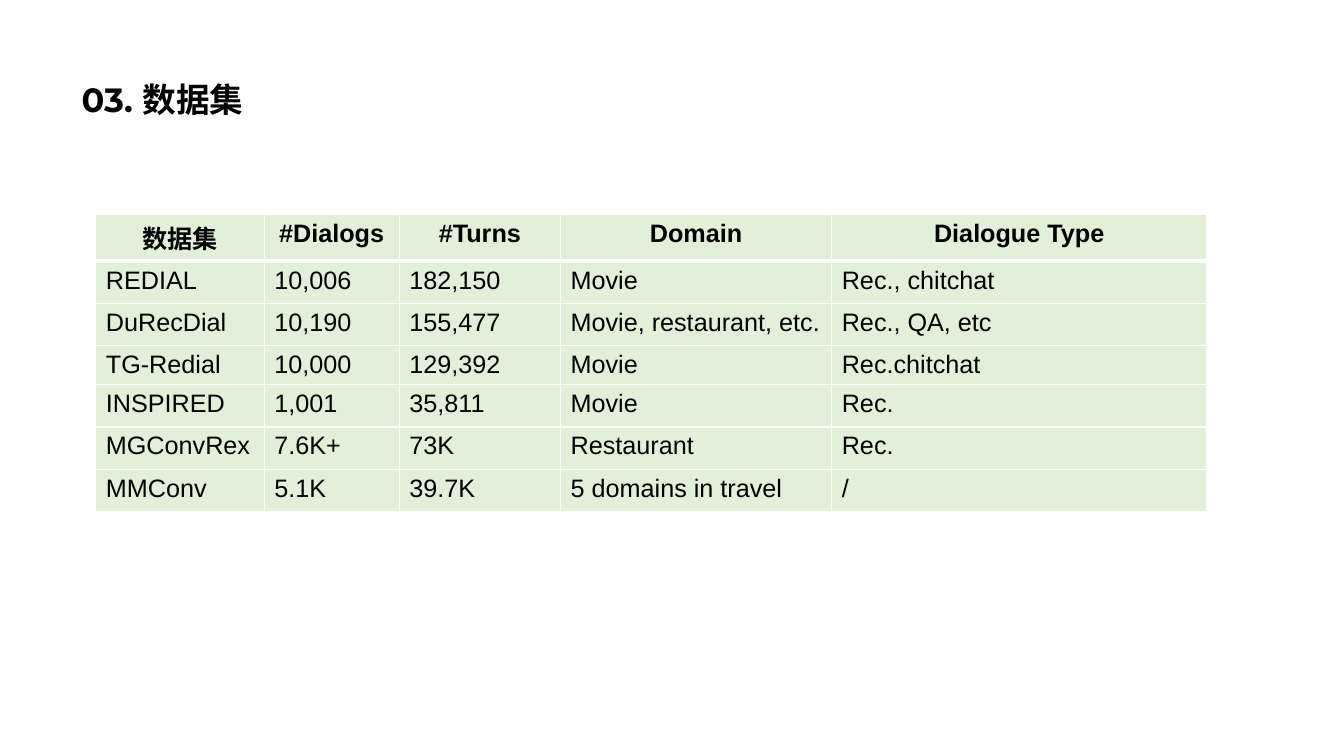
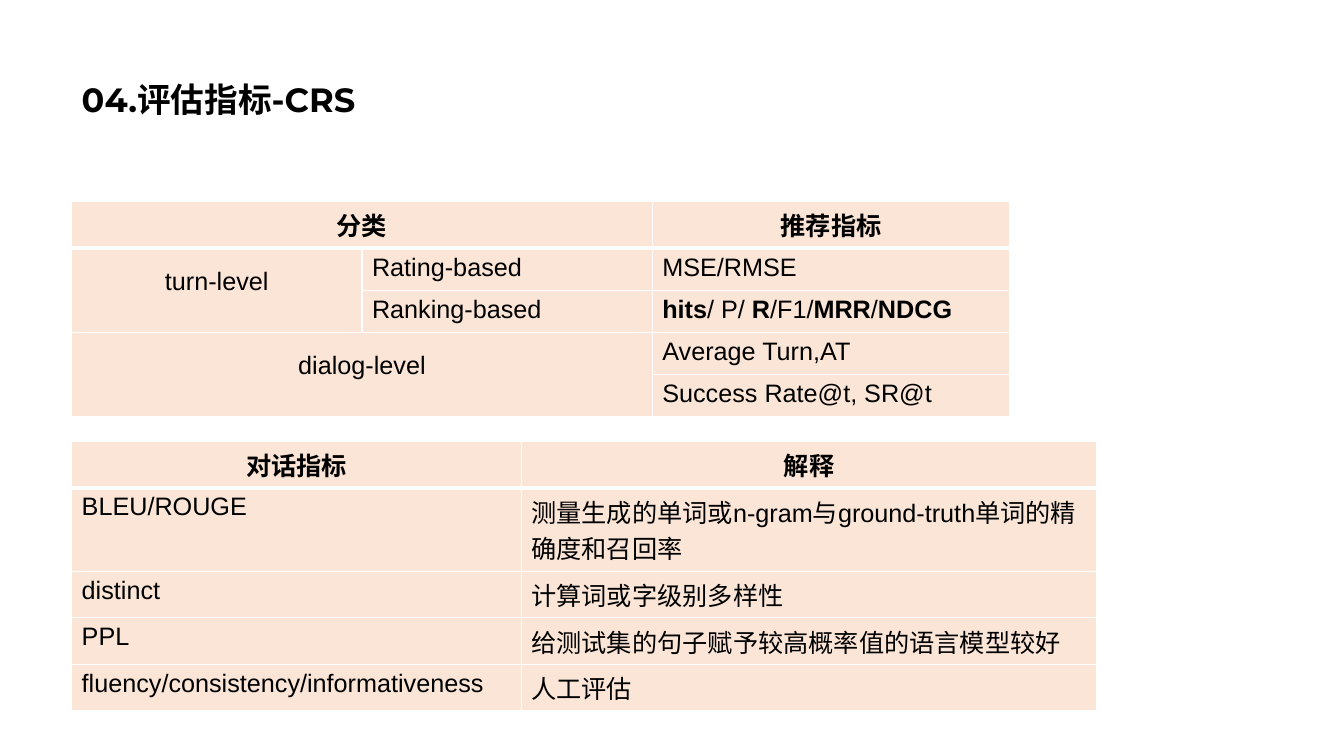
from dataclasses import dataclass
from lxml import etree
from pptx import Presentation
from pptx.dml.color import RGBColor
from pptx.enum.text import MSO_ANCHOR, PP_ALIGN
from pptx.oxml.ns import qn
from pptx.util import Inches, Pt

LEFT, CENTER = PP_ALIGN.LEFT, PP_ALIGN.CENTER
MIDDLE = MSO_ANCHOR.MIDDLE
WIDE, HIGH = Inches(13.33), Inches(7.5)
TITLE_ONLY = 5


@dataclass(frozen=True)
class Theme:
    ink: str = "000000"
    line: str = "FFFFFF"
    green: str = "E2F0D9"
    peach: str = "FBE5D6"
    head: str = "Montserrat"
    body: str = "Arial"
    big: int = 24
    small: int = 18
    thin: int = 1
    thick: int = 3


THEME = Theme()
TITLE_BOX = (5.33, 3.73, 86.27, 19.33)

DATA_BOX = (7.13, 28.4, 82.67, 38.67)
DATA_COLS = (1.67, 1.34, 1.6, 2.69, 3.72)
DATA_ROWS = (0.42, 0.42, 0.42, 0.39, 0.42, 0.42, 0.42)
DATA = (
    ("数据集", "#Dialogs", "#Turns", "Domain", "Dialogue Type"),
    ("REDIAL", "10,006", "182,150", "Movie", "Rec., chitchat"),
    ("DuRecDial", "10,190", "155,477", "Movie, restaurant, etc.", "Rec., QA, etc"),
    ("TG-Redial", "10,000", "129,392", "Movie", "Rec.chitchat"),
    ("INSPIRED", "1,001", "35,811", "Movie", "Rec."),
    ("MGConvRex", "7.6K+", "73K", "Restaurant", "Rec."),
    ("MMConv", "5.1K", "39.7K", "5 domains in travel", "/"),
)

RANK_BOX = (5.33, 26.67, 69.83, 27.8)
RANK_COLS = (2.88, 2.88, 3.55)
RANK_ROWS = (1,) * 5
RANK_SPANS = ((0, 0, 0, 1), (1, 0, 2, 0), (3, 0, 4, 1))
RANK = (
    ("分类", "", "推荐指标"),
    ("turn-level", "Rating-based", "MSE/RMSE"),
    ("", "Ranking-based", "*hits*/ P/ *R*/F1/*MRR*/*NDCG*"),
    ("dialog-level", "", "Average Turn,AT"),
    ("", "", "Success Rate@t, SR@t"),
)

TALK_BOX = (5.33, 58.4, 76.29, 31.73)
TALK_COLS = (4.46, 5.71)
TALK_ROWS = (0.42, 0.7, 0.42, 0.42, 0.42)
TALK = (
    ("对话指标", "解释"),
    ("BLEU/ROUGE", "测量生成的单词或n-gram与ground-truth单词的精确度和召回率"),
    ("distinct", "计算词或字级别多样性"),
    ("PPL", "给测试集的句子赋予较高概率值的语言模型较好"),
    ("fluency/consistency/informativeness", "人工评估"),
)


def place(box):
    x, y, w, h = box
    return [int(part * full / 100) for part, full in
            ((x, WIDE), (y, HIGH), (w, WIDE), (h, HIGH))]


def write(frame, text, font=THEME.body, size=THEME.small, bold=False,
          align=LEFT, space=1.0):
    para = frame.paragraphs[0]
    para.alignment = align
    para.line_spacing = space
    for i, part in enumerate(text.split("*")):
        if part:
            run = para.add_run()
            run.text = part
            run.font.name = font
            run.font.size = Pt(size)
            run.font.bold = bold or i % 2 == 1
            run.font.color.rgb = RGBColor.from_string(THEME.ink)


def edge(cell, top, low):
    props = cell._tc.get_or_add_tcPr()
    sides = (("L", THEME.thin), ("R", THEME.thin), ("T", top), ("B", low))
    for i, (side, width) in enumerate(sides):
        line = etree.Element(qn(f"a:ln{side}"), w=str(Pt(width)))
        fill = etree.SubElement(line, qn("a:solidFill"))
        etree.SubElement(fill, qn("a:srgbClr"), val=THEME.line)
        props.insert(i, line)


def grid(slide, box, cols, rows, data, tint, spans=()):
    x, y, w, h = place(box)
    table = slide.shapes.add_table(len(rows), len(cols), x, y, w, h).table
    table.horz_banding = False
    for col, share in zip(table.columns, cols):
        col.width = int(w * share / sum(cols))
    for row, share in zip(table.rows, rows):
        row.height = int(h * share / sum(rows))
    for r, c, r2, c2 in spans:
        table.cell(r, c).merge(table.cell(r2, c2))
    for r, texts in enumerate(data):
        for c, text in enumerate(texts):
            cell = table.cell(r, c)
            cell.fill.solid()
            cell.fill.fore_color.rgb = RGBColor.from_string(tint)
            edge(cell, THEME.thick if r == 1 else THEME.thin,
                 THEME.thick if r == 0 else THEME.thin)
            head, span = r == 0, cell.is_merge_origin
            write(cell.text_frame, text, bold=head,
                  align=CENTER if head or span else LEFT,
                  space=1.5 if span and not head else 1.0)


def page(deck, text):
    slide = deck.slides.add_slide(deck.slide_layouts[TITLE_ONLY])
    title = slide.shapes.title
    title.left, title.top, title.width, title.height = place(TITLE_BOX)
    title.text_frame.vertical_anchor = MIDDLE
    write(title.text_frame, text, font=THEME.head, size=THEME.big,
          bold=True, space=0.9)
    return slide


def main():
    deck = Presentation()
    deck.slide_width, deck.slide_height = WIDE, HIGH
    slide = page(deck, "03. 数据集")
    grid(slide, DATA_BOX, DATA_COLS, DATA_ROWS, DATA, THEME.green)
    slide = page(deck, "04.评估指标-CRS")
    grid(slide, RANK_BOX, RANK_COLS, RANK_ROWS, RANK, THEME.peach, RANK_SPANS)
    grid(slide, TALK_BOX, TALK_COLS, TALK_ROWS, TALK, THEME.peach)
    deck.save("out.pptx")


if __name__ == "__main__":
    main()
